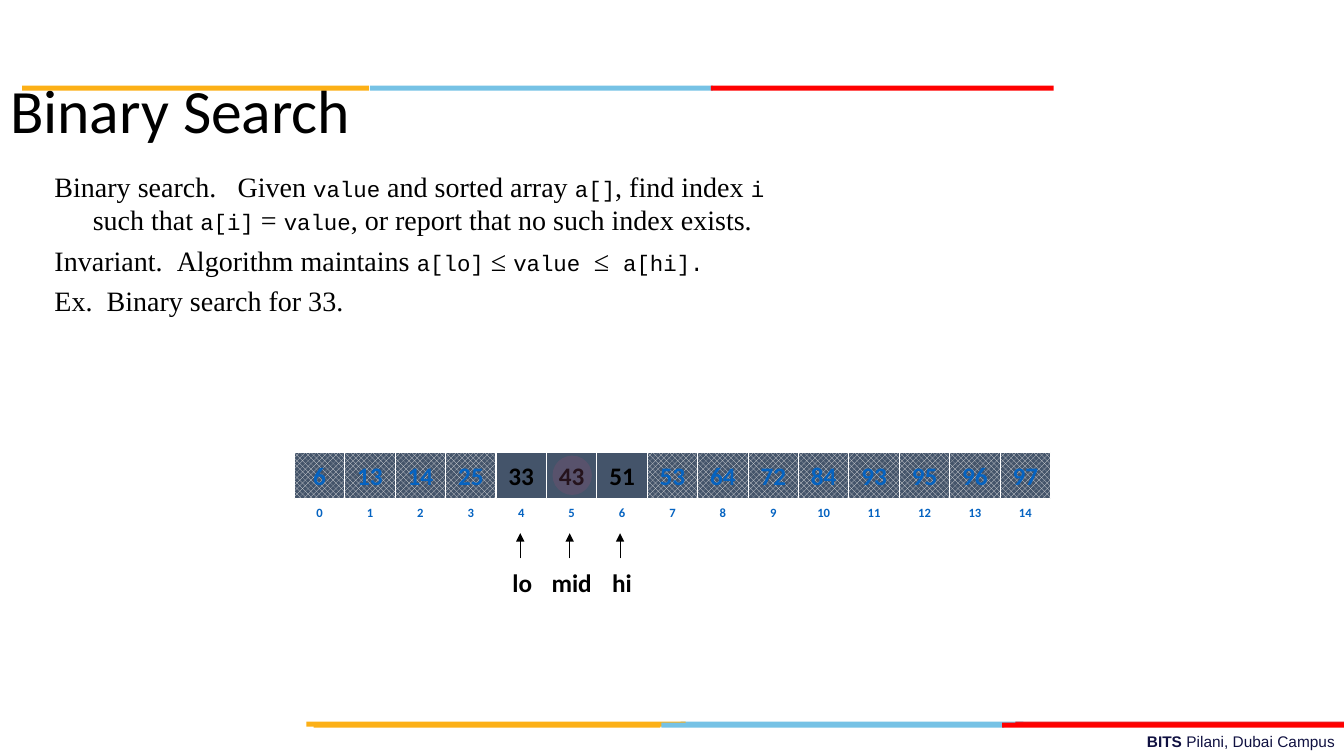
from lxml import etree
from pptx import Presentation
from pptx.dml.color import RGBColor
from pptx.enum.dml import MSO_PATTERN
from pptx.enum.shapes import MSO_CONNECTOR, MSO_SHAPE
from pptx.enum.text import MSO_ANCHOR, MSO_AUTO_SIZE, PP_ALIGN
from pptx.oxml.ns import qn
from pptx.util import Pt

RECT, OVAL = MSO_SHAPE.RECTANGLE, MSO_SHAPE.OVAL
LEFT, CENTER, RIGHT = PP_ALIGN.LEFT, PP_ALIGN.CENTER, PP_ALIGN.RIGHT
TOP, MIDDLE = MSO_ANCHOR.TOP, MSO_ANCHOR.MIDDLE
NO_FIT = MSO_AUTO_SIZE.NONE
DIAMOND = MSO_PATTERN.OUTLINED_DIAMOND
STRAIGHT = MSO_CONNECTOR.STRAIGHT

PX = 9144
COLORS = {
    "black": "000000", "white": "FFFFFF", "navy": "101141",
    "gold": "FCB017", "sky": "76C2E5", "crimson": "E31C24", "red": "FF0000",
    "slate": "44546A", "gray": "E7E6E6", "blue": "0563C1", "plum": "954F72",
}
STYLES = {
    "text": ("Times New Roman", 20, 0),
    "code": ("Courier New", 16, 0),
    "gap": ("Times New Roman", 20, 500),
    "wide gap": ("Times New Roman", 20, 1000),
}
TITLE = "Binary Search"
BODY = [
    [("Binary search.", "text"), (" ", "wide gap"), ("Given ", "text"), ("value", "code"),
     (" and sorted array ", "text"), ("a[]", "code"), (", find index ", "text"),
     ("i", "code"), ("", "break"), ("such that ", "text"), ("a[i]", "code"),
     (" = ", "text"), ("value", "code"),
     (", or report that no such index exists.", "text")],
    [("Invariant.", "text"), (" ", "gap"), ("Algorithm maintains ", "text"),
     ("a[lo]", "code"), (" ≤ ", "text"), ("value ", "code"), ("≤", "text"),
     (" ", "gap"), ("a[hi].", "code")],
    [("Ex.", "text"), (" ", "gap"), ("Binary search for 33.", "text")],
]
FOOTER = [("BITS ", True), ("Pilani, Dubai Campus", False)]
STRIPES = [
    (675, 716, 340, "sky"), (1007, 716, 326, "crimson"), (304, 716, 376, "gold"),
    (656, 717, 340, "sky"), (311, 717, 344, "gold"), (994, 717, 340, "red"),
    (367, 85, 340, "sky"), (22, 85, 344, "gold"), (705, 85, 340, "red"),
]
STRIPE_H = 5
VALUES = [6, 13, 14, 25, 33, 43, 51, 53, 64, 72, 84, 93, 95, 96, 97]
LO, MID, HI = 4, 5, 6
POINTERS = [("lo", 516, 40), ("mid", 565, 60), ("hi", 615, 40)]
ARRAY_X, CELL_W = 292, 50
VALUE_Y, VALUE_H = 449, 46
INDEX_Y, INDEX_H = 498, 21
ARROW_TOP, ARROW_BOTTOM = 529, 554
LABEL_Y, LABEL_H, LABEL_SHIFT = 558, 40, 2
RING = 39


def px(*lengths):
    return [n * PX for n in lengths]


def rgb(name):
    return RGBColor.from_string(COLORS[name])


def style(r, font, size, color, bold=False):
    r.font.name, r.font.size, r.font.bold = font, Pt(size), bold
    r.font.color.rgb = rgb(color)


def add_shape(slide, kind, box, fill=None, line=None):
    sp = slide.shapes.add_shape(kind, *px(*box))
    sp.shadow.inherit = False
    if fill:
        sp.fill.solid()
        sp.fill.fore_color.rgb = rgb(fill)
    else:
        sp.fill.background()
    if line:
        sp.line.color.rgb = rgb(line)
        sp.line.width = Pt(0.75)
    else:
        sp.line.fill.background()
    return sp


def write_label(sp, text, size, color):
    tf = sp.text_frame
    tf.text = text
    tf.word_wrap = False
    tf.vertical_anchor = MIDDLE
    p = tf.paragraphs[0]
    p.alignment = CENTER
    style(p.runs[0], "Calibri", size, color, True)


def place(sp, box, anchor):
    sp.left, sp.top, sp.width, sp.height = px(*box)
    tf = sp.text_frame
    tf.auto_size = NO_FIT
    tf.vertical_anchor = anchor
    return tf


def add_title(slide):
    tf = place(slide.shapes.title, (0, 40, 1150, 145), MIDDLE)
    tf.text = TITLE
    p = tf.paragraphs[0]
    p.alignment = LEFT
    p.line_spacing = 0.9
    style(p.runs[0], "Calibri", 44, "black")


def add_body(slide):
    tf = place(slide.placeholders[1], (44, 163, 1200, 495), TOP)
    for i, pieces in enumerate(BODY):
        p = tf.paragraphs[0] if i == 0 else tf.add_paragraph()
        pPr = p._p.get_or_add_pPr()
        pPr.set("marL", str(38 * PX))
        pPr.set("indent", str(-38 * PX))
        etree.SubElement(pPr, qn("a:buNone"))
        p.alignment = LEFT
        p.space_before = Pt(4.6 if i else 0)
        for text, kind in pieces:
            if kind == "break":
                p.add_line_break()
                etree.SubElement(p._p[-1], qn("a:rPr"), sz="2000")
                continue
            font, size, spacing = STYLES[kind]
            r = p.add_run()
            r.text = text
            style(r, font, size, "black")
            if spacing:
                r._r.get_or_add_rPr().set("spc", str(spacing))


def add_footer(slide):
    tf = slide.shapes.add_textbox(*px(478, 721, 856, 29)).text_frame
    tf.word_wrap = True
    p = tf.paragraphs[0]
    p.alignment = RIGHT
    for text, bold in FOOTER:
        r = p.add_run()
        r.text = text
        style(r, "Arial", 11, "navy", bold)


def add_array(slide):
    for i, value in enumerate(VALUES):
        x = ARRAY_X + i * CELL_W
        index = add_shape(slide, RECT, (x, INDEX_Y, CELL_W, INDEX_H), line="white")
        write_label(index, str(i), 9, "blue")
        active = LO <= i <= HI
        cell = add_shape(slide, RECT, (x, VALUE_Y, CELL_W, VALUE_H), "slate", "white")
        if not active:
            cell.fill.patterned()
            cell.fill.pattern = DIAMOND
            cell.fill.fore_color.rgb = rgb("gray")
            cell.fill.back_color.rgb = rgb("slate")
        write_label(cell, str(value), 18, "black" if active else "blue")


def add_pointers(slide):
    for name, x, width in POINTERS:
        box = (x + LABEL_SHIFT - width // 2, LABEL_Y, width, LABEL_H)
        write_label(slide.shapes.add_textbox(*px(*box)), name, 18, "black")
        arrow = slide.shapes.add_connector(STRAIGHT, *px(x, ARROW_BOTTOM, x, ARROW_TOP))
        arrow.line.color.rgb = rgb("black")
        arrow.line.width = Pt(0.75)
        etree.SubElement(arrow.line._get_or_add_ln(), qn("a:tailEnd"), type="triangle")
        etree.SubElement(arrow._element.spPr, qn("a:effectLst"))


def add_ring(slide):
    x = ARRAY_X + MID * CELL_W + (CELL_W - RING) // 2 + 1
    y = VALUE_Y + (VALUE_H - RING) // 2
    ring = add_shape(slide, OVAL, (x, y, RING, RING), "plum")
    color = ring._element.spPr.find(qn("a:solidFill"))[0]
    etree.SubElement(color, qn("a:alpha"), val="25000")


def main():
    prs = Presentation()
    prs.slide_width, prs.slide_height = px(1333, 750)
    slide = prs.slides.add_slide(prs.slide_layouts[1])
    add_footer(slide)
    for x, y, width, color in STRIPES:
        add_shape(slide, RECT, (x, y, width, STRIPE_H), color)
    add_title(slide)
    add_body(slide)
    add_array(slide)
    add_pointers(slide)
    add_ring(slide)
    prs.save("out.pptx")


if __name__ == "__main__":
    main()
